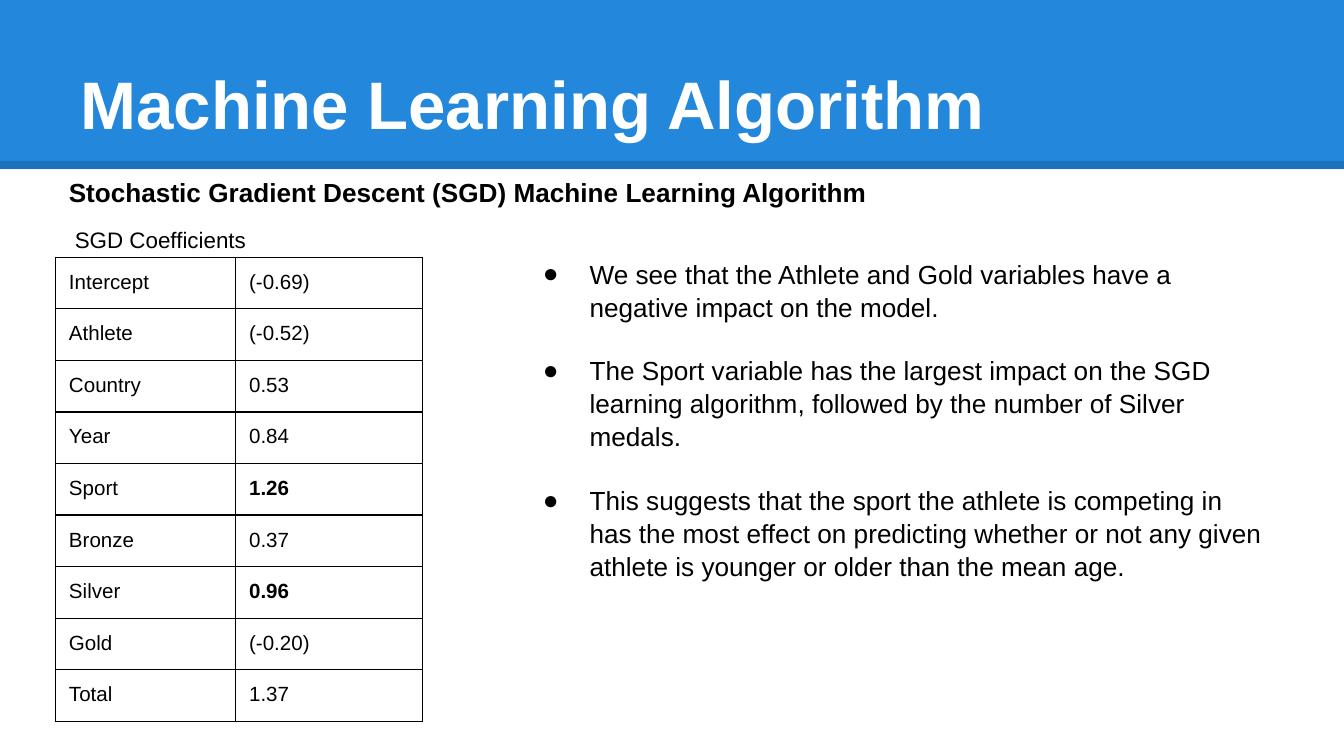
from lxml import etree
from pptx import Presentation, util as u
from pptx.dml.color import RGBColor
from pptx.enum import shapes, text
from pptx.oxml.ns import qn


def color(value):
    return RGBColor.from_string(value)


class SlideBuilder:
    """Draws styled elements on one slide, with lengths in points."""

    font, ink, white, blue = "Arial", "000000", "FFFFFF", "2388DB"
    inset = 7.2

    def __init__(self, page):
        self.page = page

    def span(self, para, words, size, bold=False, ink=ink):
        run = para.add_run()
        run.text = words
        run.font.name, run.font.size, run.font.bold = self.font, u.Pt(size), bold
        run.font.color.rgb = color(ink)

    def band(self, left, top, width, height):
        box = self.page.shapes.add_shape(
            shapes.MSO_SHAPE.RECTANGLE, *map(u.Pt, (left, top, width, height)))
        box.shadow.inherit = False
        box.fill.solid()
        box.fill.fore_color.rgb = color(self.blue)
        box.line.fill.background()

    def rule(self, left, top, right, weight, opacity):
        line = self.page.shapes.add_connector(
            shapes.MSO_CONNECTOR.STRAIGHT, *map(u.Pt, (left, top, right, top)))
        line.line.width = u.Pt(weight)
        line.line.color.rgb = color(self.ink)
        tint = next(line._element.iter(qn("a:srgbClr")))
        etree.SubElement(tint, qn("a:alpha"), val=str(opacity * 1000))
        etree.SubElement(line._element.spPr, qn("a:effectLst"))

    def frame(self, left, top, width, height, anchor=text.MSO_ANCHOR.TOP):
        box = self.page.shapes.add_textbox(*map(u.Pt, (left, top, width, height)))
        frame = box.text_frame
        frame.word_wrap = True
        frame.vertical_anchor = anchor
        frame.margin_left = frame.margin_right = u.Pt(self.inset)
        frame.margin_top = frame.margin_bottom = u.Pt(self.inset)
        return frame

    def label(self, place, words, size, bold=False, ink=ink, anchor=text.MSO_ANCHOR.TOP):
        self.span(self.frame(*place, anchor).paragraphs[0], words, size, bold, ink)

    def bullets(self, place, items, size, gap, spacing):
        frame = self.frame(*place)
        for index, words in enumerate(items):
            para = frame.add_paragraph() if index else frame.paragraphs[0]
            para.line_spacing = spacing
            para.space_before = u.Pt(gap if index else 0)
            props = para._p.get_or_add_pPr()
            props.set("marL", str(u.Pt(36)))
            props.set("indent", str(u.Pt(-25)))
            tint = etree.SubElement(props, qn("a:buClr"))
            etree.SubElement(tint, qn("a:srgbClr"), val=self.ink)
            etree.SubElement(props, qn("a:buFont"), typeface=self.font)
            etree.SubElement(props, qn("a:buChar"), char="●")
            self.span(para, words, size)

    def borders(self, cell, weight):
        props = cell._tc.get_or_add_tcPr()
        for index, side in enumerate(("lnL", "lnR", "lnT", "lnB")):
            line = etree.Element(qn("a:" + side), w=str(u.Pt(weight)))
            fill = etree.SubElement(line, qn("a:solidFill"))
            etree.SubElement(fill, qn("a:srgbClr"), val=self.ink)
            props.insert(index, line)

    def table(self, left, top, widths, heights, rows, size, strong):
        shape = self.page.shapes.add_table(
            len(rows), len(widths),
            *map(u.Pt, (left, top, sum(widths), sum(heights))))
        grid = shape.table
        grid.first_row = grid.horz_banding = False
        for column, width in zip(grid.columns, widths):
            column.width = u.Pt(width)
        for row, height, values in zip(grid.rows, heights, rows):
            row.height = u.Pt(height)
            for cell, words in zip(row.cells, values):
                cell.margin_left = cell.margin_right = u.Pt(self.inset)
                cell.margin_top = cell.margin_bottom = u.Pt(self.inset)
                cell.fill.background()
                self.borders(cell, 0.75)
                self.span(cell.text_frame.paragraphs[0], words, size, words in strong)


deck = Presentation()
deck.slide_width, deck.slide_height = u.Pt(720), u.Pt(405)
slide = SlideBuilder(deck.slides.add_slide(deck.slide_layouts[6]))

slide.band(0, 0, 720, 90.5)
slide.rule(0, 88.5, 720, 4.5, 15)
slide.label((36, 16.5, 648, 67.5), "Machine Learning Algorithm", 36, True,
            slide.white, text.MSO_ANCHOR.BOTTOM)

coefficients = [
    ("Intercept", "(-0.69)"), ("Athlete", "(-0.52)"), ("Country", "0.53"),
    ("Year", "0.84"), ("Sport", "1.26"), ("Bronze", "0.37"),
    ("Silver", "0.96"), ("Gold", "(-0.20)"), ("Total", "1.37"),
]
slide.table(29.75, 137.75, (96.5, 100), [26.5] + [27.5] * 7 + [26.5],
            coefficients, 11, ("1.26", "0.96"))
slide.label((29.75, 87.5, 502, 24),
            "Stochastic Gradient Descent (SGD) Machine Learning Algorithm", 14, True)
slide.label((33, 114, 190, 16.5), "SGD Coefficients", 12)

findings = [
    "We see that the Athlete and Gold variables have a negative impact on the model.",
    "The Sport variable has the largest impact on the SGD learning algorithm, "
    "followed by the number of Silver medals.",
    "This suggests that the sport the athlete is competing in has the most effect on "
    "predicting whether or not any given athlete is younger or older than the mean age.",
]
slide.bullets((272.75, 130.25, 411, 258.5), findings, 14, 16.5, 1.05)

deck.save("out.pptx")
